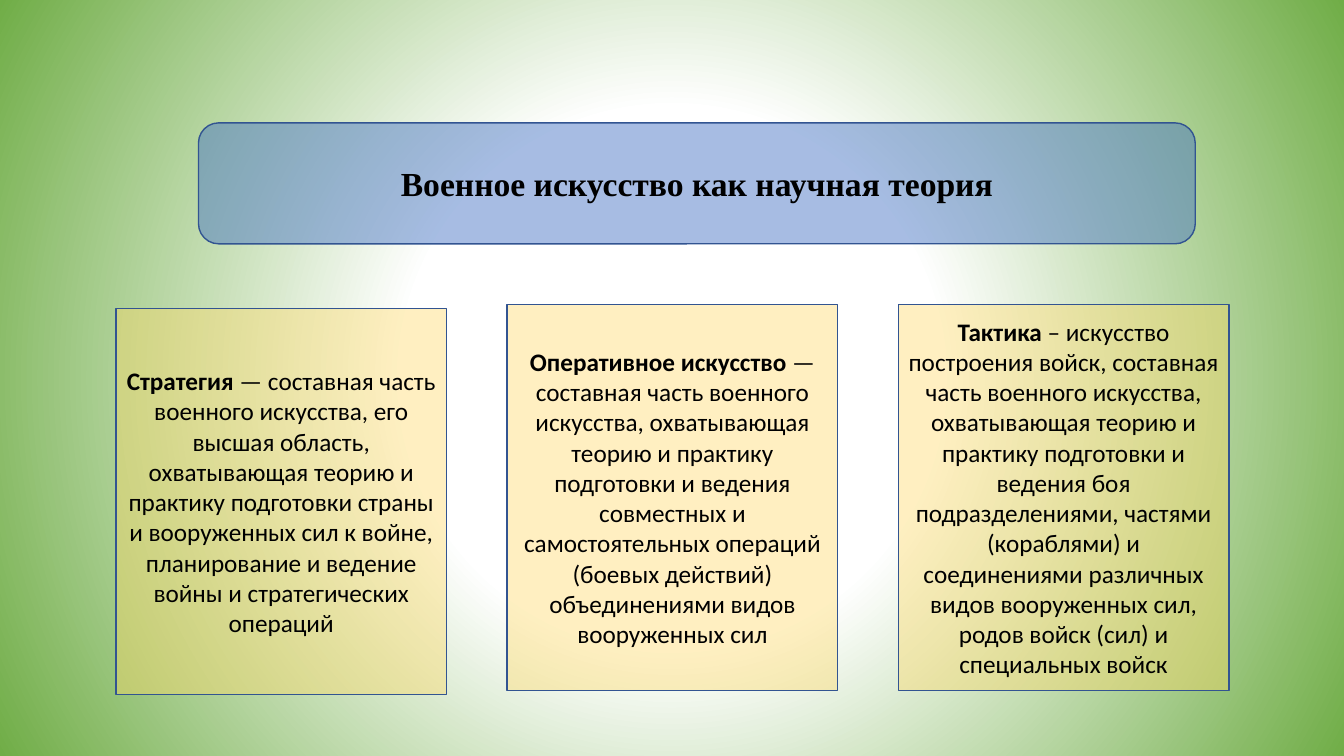
from lxml import etree
from pptx import Presentation
from pptx.dml.color import RGBColor
from pptx.enum import shapes, text
from pptx.oxml import ns, parse_xml
from pptx.util import Pt

BLACK = RGBColor(0x00, 0x00, 0x00)
BLUE = RGBColor(0x44, 0x72, 0xC4)
DARK_BLUE = RGBColor(0x32, 0x54, 0x91)
YELLOW = RGBColor(0xFF, 0xD9, 0x66)
WHITE = RGBColor(0xFF, 0xFF, 0xFF)
GREEN = RGBColor(0x70, 0xAD, 0x47)

CARD_LEFT, CARD_STEP = 82.8, 279.4
CARD_WIDTH, CARD_HEIGHT = 236.2, 275.8
CARDS = [
    (220.3, "Стратегия", " — составная часть военного искусства, его высшая область, "
     "охватывающая теорию и практику подготовки страны и вооруженных сил к войне, "
     "планирование и ведение войны и стратегических операций"),
    (217.4, "Оперативное искусство", " — составная часть военного искусства, "
     "охватывающая теорию и практику подготовки и ведения совместных и "
     "самостоятельных операций (боевых действий) объединениями видов вооруженных сил"),
    (217.4, "Тактика ", "– искусство построения войск, составная часть военного искусства, "
     "охватывающая теорию и практику подготовки и ведения боя подразделениями, "
     "частями (кораблями) и соединениями различных видов вооруженных сил, "
     "родов войск (сил) и специальных войск"),
]


def set_background(slide, stops):
    slide.background.fill.gradient()
    old_gradient = next(slide.element.iter(ns.qn("a:gradFill")))
    stop_xml = "".join(
        f'<a:gs pos="{percent * 1000}"><a:srgbClr val="{color}"/></a:gs>'
        for percent, color in stops
    )
    gradient = parse_xml(
        f'<a:gradFill {ns.nsdecls("a")} rotWithShape="1"><a:gsLst>{stop_xml}</a:gsLst>'
        '<a:path path="circle">'
        '<a:fillToRect l="50000" t="50000" r="50000" b="50000"/></a:path></a:gradFill>'
    )
    old_gradient.getparent().replace(old_gradient, gradient)


def add_panel(slide, kind, left, top, width, height, color, opacity):
    shape = slide.shapes.add_shape(kind, Pt(left), Pt(top), Pt(width), Pt(height))
    shape.shadow.inherit = False
    shape.fill.solid()
    shape.fill.fore_color.rgb = color
    fill_color = shape.element.spPr.find(ns.qn("a:solidFill"))[0]
    etree.SubElement(fill_color, ns.qn("a:alpha"), val=str(opacity * 1000))
    shape.line.color.rgb = DARK_BLUE
    shape.line.width = Pt(1)
    shape.text_frame.word_wrap = True
    shape.text_frame.vertical_anchor = text.MSO_ANCHOR.MIDDLE
    paragraph = shape.text_frame.paragraphs[0]
    paragraph.alignment = text.PP_ALIGN.CENTER
    return paragraph


def add_run(paragraph, content, font_name, size, bold=False):
    run = paragraph.add_run()
    run.text = content
    run.font.name = font_name
    run.font.size = Pt(size)
    run.font.bold = bold
    run.font.color.rgb = BLACK


def add_title(slide, content):
    paragraph = add_panel(slide, shapes.MSO_SHAPE.ROUNDED_RECTANGLE,
                          141.8, 87.8, 712, 86.4, BLUE, 47)
    add_run(paragraph, content, "Times New Roman", 24, bold=True)


def add_card(slide, left, top, term, definition):
    paragraph = add_panel(slide, shapes.MSO_SHAPE.RECTANGLE,
                          left, top, CARD_WIDTH, CARD_HEIGHT, YELLOW, 40)
    add_run(paragraph, term, "Calibri", 18, bold=True)
    add_run(paragraph, definition, "Calibri", 18)


def main():
    presentation = Presentation()
    presentation.slide_width = Pt(960)
    presentation.slide_height = Pt(540)
    slide = presentation.slides.add_slide(presentation.slide_layouts[6])
    set_background(slide, [(0, WHITE), (35, WHITE), (100, GREEN)])
    add_title(slide, "Военное искусство как научная теория")
    for column, (top, term, definition) in enumerate(CARDS):
        add_card(slide, CARD_LEFT + column * CARD_STEP, top, term, definition)
    presentation.save("out.pptx")


if __name__ == "__main__":
    main()
